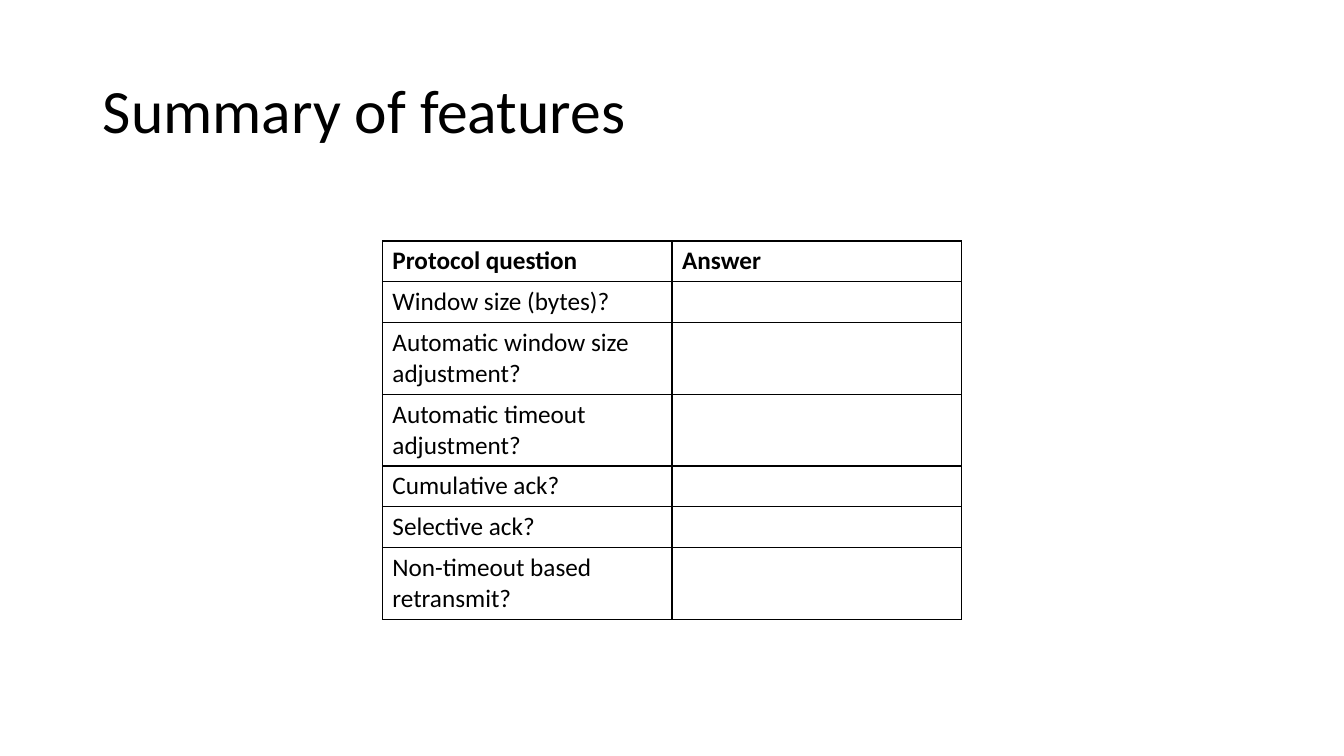
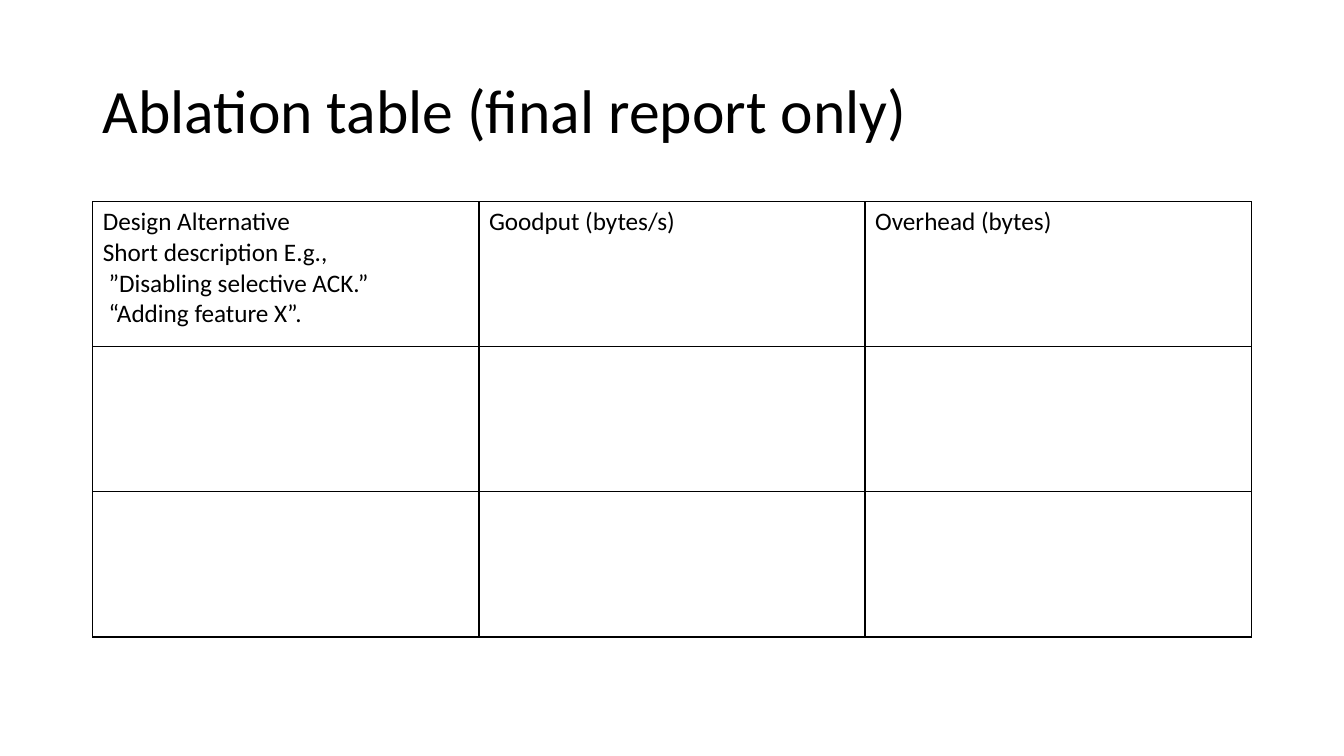
from lxml import etree
from pptx import Presentation
from pptx import util as u
from pptx.dml import color
from pptx.enum import text
from pptx.oxml import ns

COLORS = {"text": "000000", "border": "000000"}
FONT = "Calibri"
WIDTH, HEIGHT = 13.33, 7.5
MARGIN = 0.92
CONTENT = WIDTH - 2 * MARGIN

FEATURES = [
    ["Protocol question", "Answer"],
    ["Window size (bytes)?", ""],
    ["Automatic window size adjustment?", ""],
    ["Automatic timeout adjustment?", ""],
    ["Cumulative ack?", ""],
    ["Selective ack?", ""],
    ["Non-timeout based retransmit?", ""],
]
ABLATION = [
    ["Design Alternative\nShort description E.g.,\n ”Disabling selective ACK.”\n “Adding feature X”.",
     "Goodput (bytes/s)", "Overhead (bytes)"],
    ["", "", ""],
    ["", "", ""],
]


def write(tf, content, size=18, bold=False, spacing=1.0):
    """Write one left-aligned paragraph for each line of content."""
    for i, line in enumerate(content.split("\n")):
        p = tf.paragraphs[0] if i == 0 else tf.add_paragraph()
        p.alignment = text.PP_ALIGN.LEFT
        p.line_spacing = spacing
        r = p.add_run()
        r.text = line
        r.font.name, r.font.size, r.font.bold = FONT, u.Pt(size), bold
        r.font.color.rgb = color.RGBColor.from_string(COLORS["text"])


def add_titled_slide(prs, title):
    """Add a title-only slide with the shared title style."""
    s = prs.slides.add_slide(prs.slide_layouts[5])
    sp = s.shapes.title
    sp.left, sp.top = u.Inches(MARGIN), u.Inches(0.4)
    sp.width, sp.height = u.Inches(CONTENT), u.Inches(1.45)
    tf = sp.text_frame
    tf.auto_size = text.MSO_AUTO_SIZE.NONE
    tf.vertical_anchor = text.MSO_ANCHOR.MIDDLE
    write(tf, title, size=44, spacing=0.9)
    return s


def style_cell(cell):
    """Give a cell thin borders on all sides and no fill."""
    tc_pr = cell._tc.get_or_add_tcPr()
    for side in ("lnL", "lnR", "lnT", "lnB"):
        ln = etree.SubElement(tc_pr, ns.qn(f"a:{side}"), w=str(u.Pt(1)))
        fill = etree.SubElement(ln, ns.qn("a:solidFill"))
        etree.SubElement(fill, ns.qn("a:srgbClr"), val=COLORS["border"])
    cell.fill.background()


def add_grid(s, rows, top, col_width, row_height, bold_header=False):
    """Add a plain bordered table, centred across the slide."""
    n_cols = len(rows[0])
    width = n_cols * col_width
    table = s.shapes.add_table(
        len(rows), n_cols, u.Inches((WIDTH - width) / 2), u.Inches(top),
        u.Inches(width), u.Inches(len(rows) * row_height)).table
    table.first_row = table.horz_banding = False
    for i, row in enumerate(rows):
        for j, content in enumerate(row):
            cell = table.cell(i, j)
            style_cell(cell)
            if content:
                write(cell.text_frame, content, bold=bold_header and i == 0)


def main():
    """Build and save the two table slides."""
    prs = Presentation()
    prs.slide_width, prs.slide_height = u.Inches(WIDTH), u.Inches(HEIGHT)
    s = add_titled_slide(prs, "Summary of features")
    add_grid(s, FEATURES, 2.39, CONTENT / 4, 0.4, bold_header=True)
    s = add_titled_slide(prs, "Ablation table (final report only)")
    add_grid(s, ABLATION, 2, CONTENT / 3, 1.44)
    prs.save("out.pptx")


if __name__ == "__main__":
    main()
